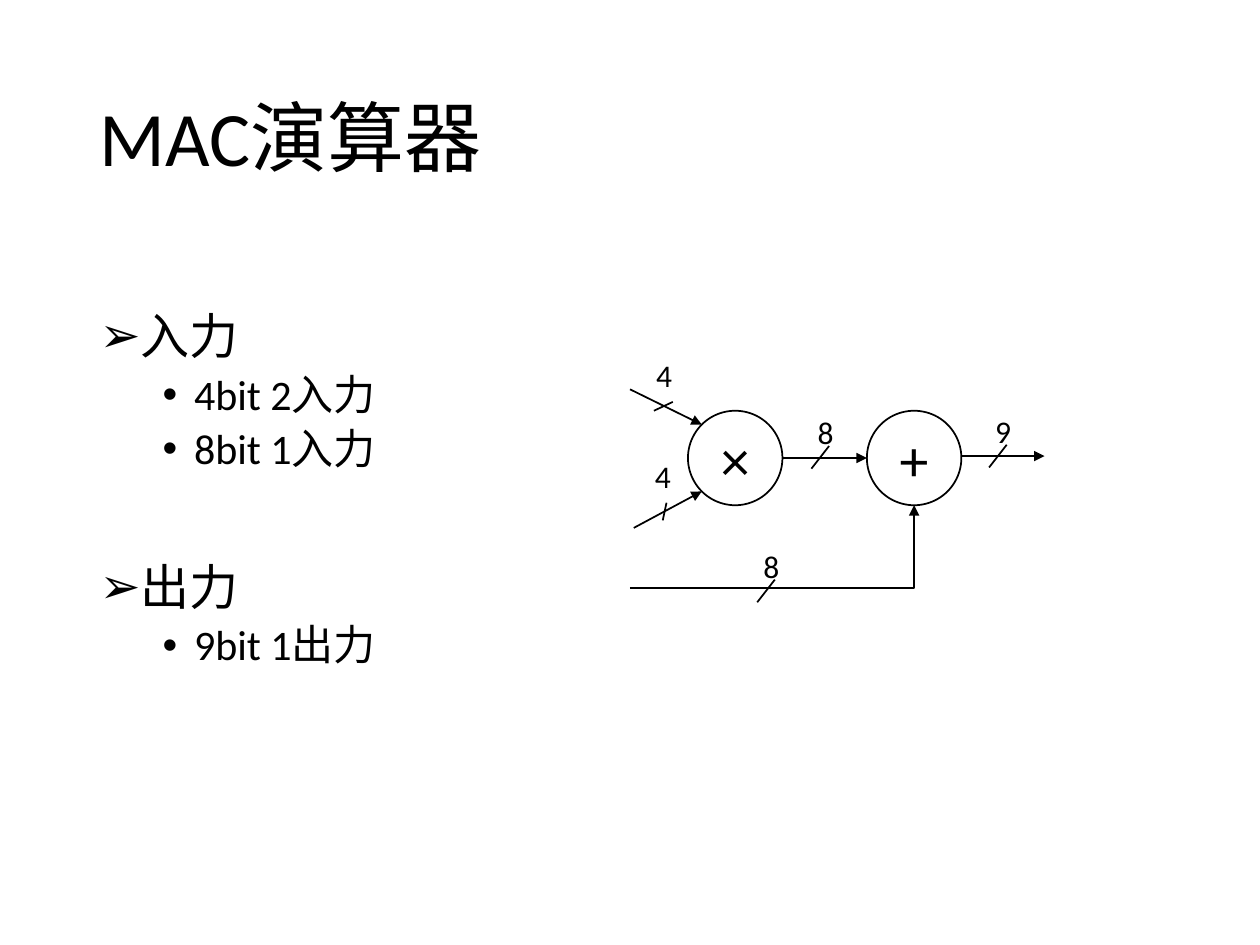
from lxml.etree import SubElement
from pptx import Presentation
from pptx.dml.color import RGBColor
from pptx.enum.shapes import MSO_CONNECTOR as Wire, MSO_SHAPE as Shape
from pptx.enum.text import MSO_ANCHOR as Anchor, MSO_AUTO_SIZE as Fit, PP_ALIGN as Align
from pptx.oxml.ns import qn
from pptx.util import Inches, Pt

# Grid of 40 columns by 30 rows
CELL = 10 / 40
INK = "000000"
FONT = "Calibri"

RADIUS = 1.5
DIAGONAL = RADIUS * 0.5 ** 0.5
AXIS = 14.54
MULTIPLIER, ADDER = 23.34, 29.02

# Bus widths: digit, slash start, slash extent, label offset from slash start
STEEP, ABOVE = (0.56, -0.72), (-0.2, -1.96)
BUS_WIDTHS = [
    ("4", (21.36, 12.76), (-0.6, 0.28), (-0.92, -1.64)),
    ("4", (21.04, 16.52), (0.12, -0.56), (-0.64, -2.2)),
    ("8", (25.76, 14.88), STEEP, ABOVE),
    ("8", (24.04, 19.12), STEEP, ABOVE),
    ("9", (31.4, 14.84), STEEP, ABOVE),
]

# Port list: text, level, space before
PORTS = [
    ("入力", 0, 10),
    ("4bit 2入力", 1, 5),
    ("8bit 1入力", 1, 5),
    ("出力", 0, 51),
    ("9bit 1出力", 1, 5),
]
# Per level: size, left margin, bullet
LEVELS = [(28, 0.25, "➢"), (24, 0.75, "•")]


def grid(*cells):
    return [Inches(cell * CELL) for cell in cells]


def color(hex_value):
    return RGBColor.from_string(hex_value)


def place(shape, *cells):
    shape.left, shape.top, shape.width, shape.height = grid(*cells)


def style(paragraph, size, align=Align.LEFT):
    paragraph.alignment = align
    for run in paragraph.runs:
        run.font.name = FONT
        run.font.size = Pt(size)
        run.font.color.rgb = color(INK)


def add_title(slide, text):
    title = slide.shapes.title
    place(title, 2.76, 1.6, 34.48, 5.8)
    title.text_frame.text = text
    title.text_frame.vertical_anchor = Anchor.MIDDLE
    heading = title.text_frame.paragraphs[0]
    heading.line_spacing = 0.9
    style(heading, 44)


def add_port_list(slide):
    body = slide.placeholders[1]
    place(body, 2.76, 9.72, 17.6, 14.28)
    frame = body.text_frame
    frame.text = "\n".join(text for text, _, _ in PORTS)
    frame.auto_size = Fit.NONE
    for port, (_, level, before) in zip(frame.paragraphs, PORTS):
        size, margin, bullet = LEVELS[level]
        port.level = level
        port.line_spacing = 0.9
        port.space_before = Pt(before)
        style(port, size)
        # Bullet and hanging indent
        props = port._p.get_or_add_pPr()
        props.set("marL", str(Inches(margin)))
        props.set("indent", str(Inches(-0.25)))
        SubElement(props, qn("a:buFont"), typeface="Arial")
        SubElement(props, qn("a:buChar"), char=bullet)


def add_operator(slide, symbol, center):
    circle = slide.shapes.add_shape(
        Shape.OVAL, *grid(center - RADIUS, AXIS - RADIUS, 2 * RADIUS, 2 * RADIUS))
    circle.shadow.inherit = False
    circle.fill.background()
    circle.line.color.rgb = color(INK)
    circle.line.width = Pt(1)
    frame = circle.text_frame
    frame.text = symbol
    frame.margin_left = frame.margin_right = Inches(0.07)
    frame.margin_top = frame.margin_bottom = Inches(0.04)
    frame.vertical_anchor = Anchor.MIDDLE
    style(frame.paragraphs[0], 33, Align.CENTER)


def add_wire(slide, start, end, arrow=True, bent=False):
    kind = Wire.ELBOW if bent else Wire.STRAIGHT
    wire = slide.shapes.add_connector(kind, *grid(*start, *end))
    wire.line.color.rgb = color(INK)
    wire.line.width = Pt(1)
    props = wire._element.spPr
    if bent:
        props.find(qn("a:prstGeom")).set("prst", "bentConnector2")
    if arrow:
        SubElement(props.find(qn("a:ln")), qn("a:tailEnd"), type="triangle")
    SubElement(props, qn("a:effectLst"))


def add_bus_width(slide, digit, start, extent, offset):
    x, y = start
    add_wire(slide, start, (x + extent[0], y + extent[1]), arrow=False)
    label = slide.shapes.add_textbox(*grid(x + offset[0], y + offset[1], 1.32, 1.6))
    label.text_frame.text = digit
    label.text_frame.word_wrap = False
    style(label.text_frame.paragraphs[0], 18)


def main():
    deck = Presentation()
    deck.slide_width, deck.slide_height = grid(40, 30)
    slide = deck.slides.add_slide(deck.slide_layouts[1])

    add_title(slide, "MAC演算器")
    add_port_list(slide)

    # Operators
    add_operator(slide, "×", MULTIPLIER)
    add_operator(slide, "+", ADDER)

    # Inputs, product, addend and result
    entry = MULTIPLIER - DIAGONAL
    add_wire(slide, (20, 12.36), (entry, AXIS - DIAGONAL))
    add_wire(slide, (20.12, 16.76), (entry, AXIS + DIAGONAL))
    add_wire(slide, (MULTIPLIER + RADIUS, AXIS), (ADDER - RADIUS, AXIS))
    add_wire(slide, (20, 18.68), (ADDER, AXIS + RADIUS), bent=True)
    add_wire(slide, (ADDER + RADIUS, 14.48), (33.16, 14.48))

    for bus in BUS_WIDTHS:
        add_bus_width(slide, *bus)

    deck.save("out.pptx")


main()
